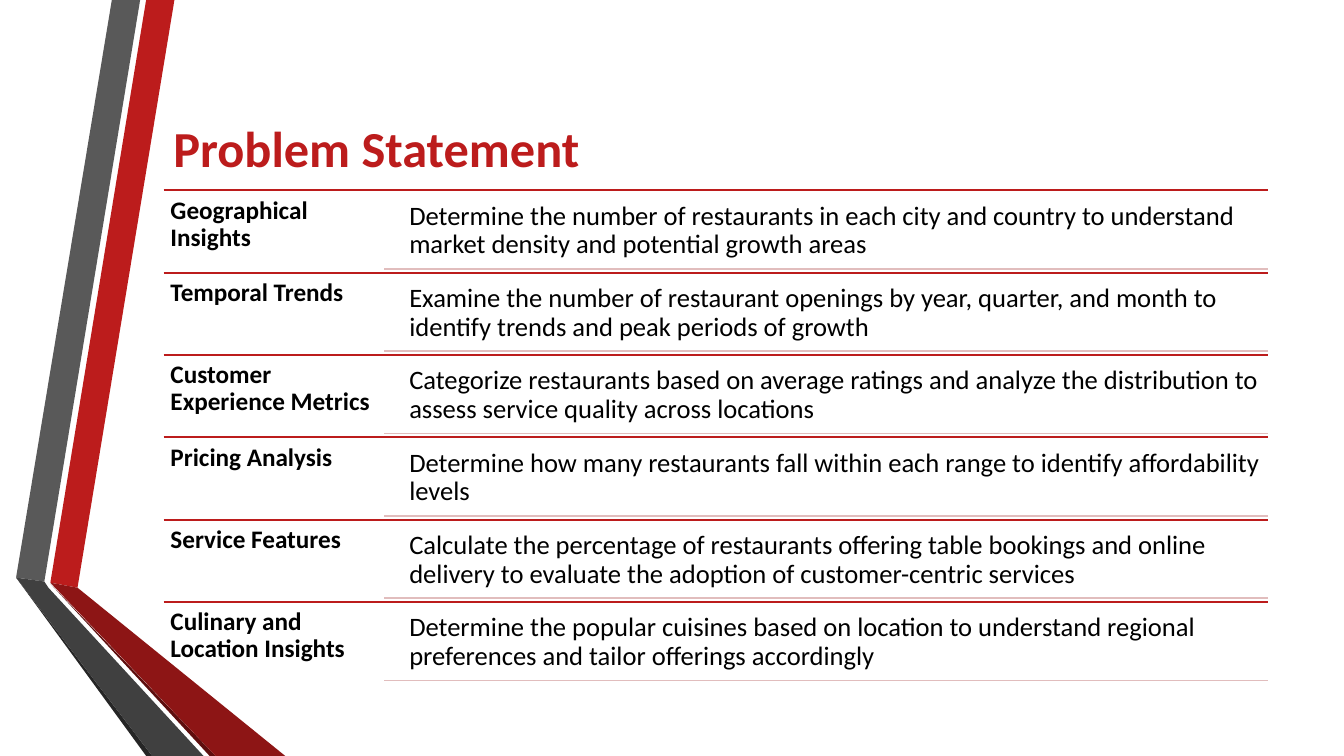
import pptx
import pptx.util
import pptx.dml.color
import pptx.enum.shapes
import pptx.enum.text
import pptx.oxml.ns
import lxml.etree

Pt = pptx.util.Pt
ANCHOR = pptx.enum.text.MSO_ANCHOR

COLORS = {
    "red": "BC1C1C",
    "dark_red": "8D1515",
    "deep_red": "5E0E0E",
    "pale_red": "E1BDBD",
    "gray": "595959",
    "dark_gray": "404040",
    "deep_gray": "262626",
    "black": "000000",
}

RIBBONS = [
    ("red", [(36, 416.2), (55.4, 419.8), (124.6, 0), (104.4, 0)]),
    ("gray", [(100.1, 0), (79.9, 0), (11.5, 412.6), (31.7, 415.4)]),
    ("deep_gray", [(11.5, 412.6), (104.4, 540), (108.7, 540)]),
    ("deep_red", [(36, 416.9), (149.8, 540), (154.1, 540)]),
    ("dark_red", [(36, 416.2), (154.1, 540), (203.8, 540), (55.4, 419.8)]),
    ("dark_gray", [(145.4, 540), (34.6, 419.8), (31.7, 415.4), (11.5, 412.6), (108.7, 540)]),
]

PROBLEMS = [
    ("Geographical Insights",
     "Determine the number of restaurants in each city and country to understand "
     "market density and potential growth areas"),
    ("Temporal Trends",
     "Examine the number of restaurant openings by year, quarter, and month to "
     "identify trends and peak periods of growth"),
    ("Customer Experience Metrics",
     "Categorize restaurants based on average ratings and analyze the distribution to "
     "assess service quality across locations"),
    ("Pricing Analysis",
     "Determine how many restaurants fall within each range to identify affordability levels"),
    ("Service Features",
     "Calculate the percentage of restaurants offering table bookings and online "
     "delivery to evaluate the adoption of customer-centric services"),
    ("Culinary and Location Insights",
     "Determine the popular cuisines based on location to understand regional "
     "preferences and tailor offerings accordingly"),
]

LEFT, RIGHT = 116.8, 905.8
RULE_LEFT, DETAIL_LEFT = 274.5, 286.7
TOP, ROW_HEIGHT = 136, 58.8
DETAIL_OFFSET, DETAIL_HEIGHT = 2.7, 53.4


def rgb(name):
    return pptx.dml.color.RGBColor.from_string(COLORS[name])


def add_ribbon(slide, color, points):
    corners = [(Pt(x), Pt(y)) for x, y in points]
    builder = slide.shapes.build_freeform(*corners[0])
    builder.add_line_segments(corners[1:], close=True)
    sp = builder.convert_to_shape()
    sp.shadow.inherit = False
    sp.fill.solid()
    sp.fill.fore_color.rgb = rgb(color)
    sp.line.fill.background()


def add_rule(slide, left, y, color):
    line = slide.shapes.add_connector(
        pptx.enum.shapes.MSO_CONNECTOR.STRAIGHT, Pt(left), Pt(y), Pt(RIGHT), Pt(y))
    line.line.color.rgb = rgb(color)
    line.line.width = Pt(1.25)
    lxml.etree.SubElement(line._element.spPr, pptx.oxml.ns.qn("a:effectLst"))


def add_text(slide, text, left, top, width, height, *, size, color="black", bold=False,
             anchor=ANCHOR.TOP, inset=(7.2, 3.6), line_spacing=0.9):
    """Add a wrapped text box; inset is (horizontal, vertical)."""
    box = slide.shapes.add_textbox(Pt(left), Pt(top), Pt(width), Pt(height))
    tf = box.text_frame
    tf.word_wrap = True
    tf.vertical_anchor = anchor
    tf.margin_left = tf.margin_right = Pt(inset[0])
    tf.margin_top = tf.margin_bottom = Pt(inset[1])
    p = tf.paragraphs[0]
    p.line_spacing = line_spacing
    r = p.add_run()
    r.text = text
    r.font.name = "Calibri"
    r.font.size = Pt(size)
    r.font.bold = bold
    r.font.color.rgb = rgb(color)


def add_problem(slide, top, heading, detail):
    detail_top = top + DETAIL_OFFSET
    add_rule(slide, LEFT, top, "red")
    add_text(slide, heading, LEFT, top, RULE_LEFT - LEFT, ROW_HEIGHT,
             size=18, bold=True, inset=(5, 5))
    add_text(slide, detail, DETAIL_LEFT, detail_top, RIGHT - DETAIL_LEFT, DETAIL_HEIGHT,
             size=19, inset=(5.7, 5.7))
    add_rule(slide, RULE_LEFT, detail_top + DETAIL_HEIGHT, "pale_red")


def main():
    prs = pptx.Presentation()
    prs.slide_width, prs.slide_height = Pt(960), Pt(540)
    slide = prs.slides.add_slide(prs.slide_layouts[6])
    for color, points in RIBBONS:
        add_ribbon(slide, color, points)
    add_text(slide, "Problem Statement", LEFT, 84.2, RIGHT - LEFT, 42.5, size=36,
             color="red", bold=True, anchor=ANCHOR.MIDDLE, line_spacing=1.0)
    for i, (heading, detail) in enumerate(PROBLEMS):
        add_problem(slide, TOP + i * ROW_HEIGHT, heading, detail)
    prs.save("out.pptx")


if __name__ == "__main__":
    main()
